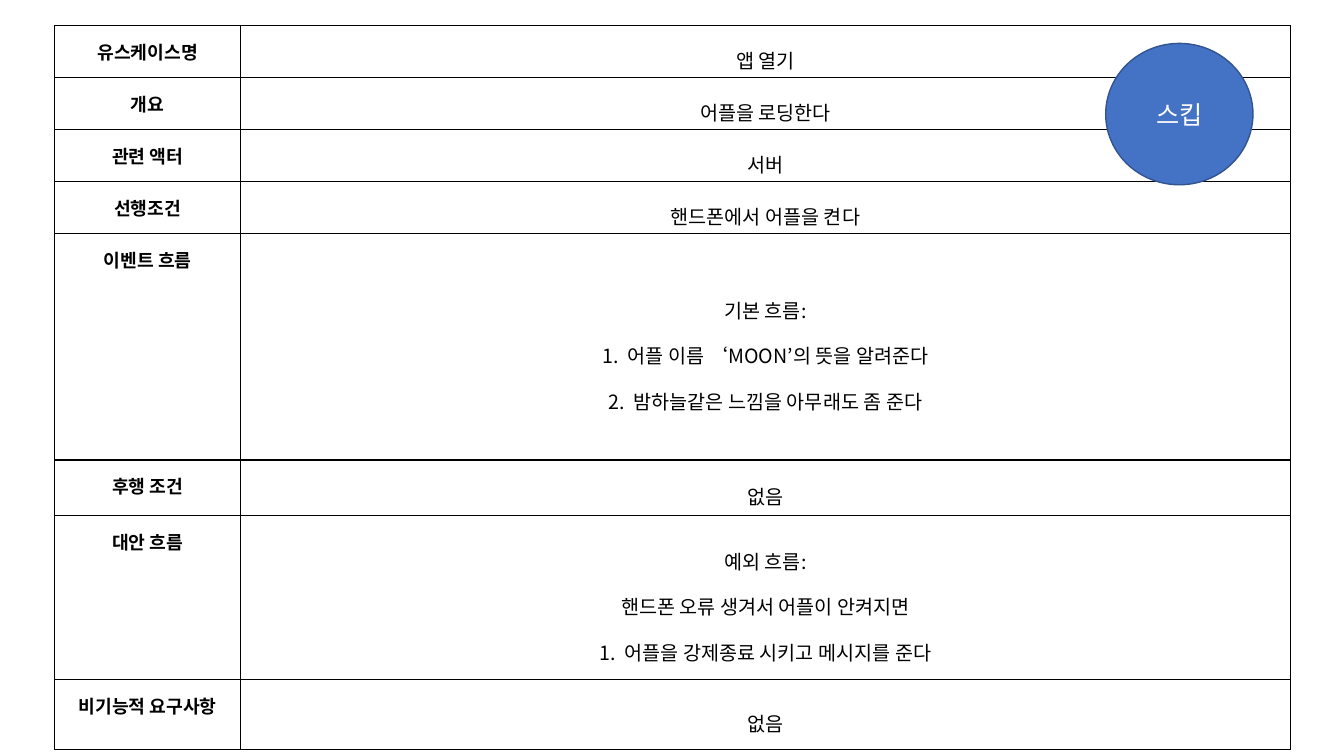
from lxml.etree import SubElement
from pptx import Presentation
from pptx.dml.color import RGBColor
from pptx.enum.shapes import MSO_SHAPE
from pptx.enum.text import MSO_ANCHOR, PP_ALIGN
from pptx.oxml.ns import qn
from pptx.util import Pt

FONT = "Noto Sans CJK KR"
COLORS = {"ink": "000000", "paper": "FFFFFF", "badge": "4472C4", "edge": "325491"}
COLS = [133.2, 749.5]
# Row height, label, then (text, numbered) lines
ROWS = [
    (33.2, "유스케이스명", [("앱 열기", False)]),
    (33.2, "개요", [("어플을 로딩한다", False)]),
    (33.2, "관련 액터", [("서버", False)]),
    (33.2, "선행조건", [("핸드폰에서 어플을 켠다", False)]),
    (162, "이벤트 흐름", [
        ("기본 흐름:", False),
        ("어플 이름 ‘MOON’의 뜻을 알려준다", True),
        ("밤하늘같은 느낌을 아무래도 좀 준다", True),
    ]),
    (39.5, "후행 조건", [("없음", False)]),
    (117.5, "대안 흐름", [
        ("예외 흐름:", False),
        ("핸드폰 오류 생겨서 어플이 안켜지면", False),
        ("어플을 강제종료 시키고 메시지를 준다", True),
    ]),
    (49.8, "비기능적 요구사항", [("없음", False)]),
]


def color(name):
    return RGBColor.from_string(COLORS[name])


def add_run(para, text, size, ink="ink", bold=False):
    para.alignment = PP_ALIGN.CENTER
    run = para.add_run()
    run.text = text
    font = run.font
    font.size, font.bold, font.name = Pt(size), bold, FONT
    font.color.rgb = color(ink)
    SubElement(font._element, qn("a:ea"), typeface=FONT)


def number(para):
    """Give the paragraph a hanging automatic number."""
    props = para._p.get_or_add_pPr()
    props.set("marL", str(Pt(18)))
    props.set("indent", str(-Pt(18)))
    SubElement(props, qn("a:buFont"), typeface="+mj-lt")
    SubElement(props, qn("a:buAutoNum"), type="arabicPeriod")


def style_cell(cell, side, edge, anchor):
    """Set the insets, anchor, borders and fill of a cell."""
    cell.margin_left = cell.margin_right = Pt(side)
    cell.margin_top = cell.margin_bottom = Pt(edge)
    cell.vertical_anchor = anchor
    props = cell._tc.get_or_add_tcPr()
    for tag in ("a:lnL", "a:lnR", "a:lnT", "a:lnB"):
        line = SubElement(props, qn(tag), w=str(Pt(1)))
        fill = SubElement(line, qn("a:solidFill"))
        SubElement(fill, qn("a:srgbClr"), val=COLORS["ink"])
    cell.fill.background()


def fill_label(cell, text):
    style_cell(cell, 9.2, 9.2, MSO_ANCHOR.TOP)
    add_run(cell.text_frame.paragraphs[0], text, 13, bold=True)


def fill_detail(cell, lines):
    style_cell(cell, 5.1, 1.4, MSO_ANCHOR.MIDDLE)
    frame = cell.text_frame
    for index, (text, numbered) in enumerate(lines):
        para = frame.add_paragraph() if index else frame.paragraphs[0]
        para.line_spacing = 1.6
        if numbered:
            number(para)
        add_run(para, text, 14)


def add_case(slide):
    """Add the use case table."""
    height = sum(row[0] for row in ROWS)
    frame = slide.shapes.add_table(
        len(ROWS), len(COLS), Pt(38.9), Pt(18.2), Pt(sum(COLS)), Pt(height))
    table = frame.table
    table.first_row = table.horz_banding = False
    for col, width in zip(table.columns, COLS):
        col.width = Pt(width)
    for row, (height, label, lines) in zip(table.rows, ROWS):
        row.height = Pt(height)
        fill_label(row.cells[0], label)
        fill_detail(row.cells[1], lines)


def add_badge(slide, text, left, top, width, height):
    badge = slide.shapes.add_shape(
        MSO_SHAPE.OVAL, Pt(left), Pt(top), Pt(width), Pt(height))
    badge.shadow.inherit = False
    badge.fill.solid()
    badge.fill.fore_color.rgb = color("badge")
    badge.line.color.rgb = color("edge")
    badge.line.width = Pt(1)
    frame = badge.text_frame
    frame.vertical_anchor = MSO_ANCHOR.MIDDLE
    add_run(frame.paragraphs[0], text, 18, "paper")


def main():
    deck = Presentation()
    deck.slide_width, deck.slide_height = Pt(960), Pt(540)
    slide = deck.slides.add_slide(deck.slide_layouts[6])
    add_case(slide)
    add_badge(slide, "스킵", 789.8, 31, 105.2, 101)
    deck.save("out.pptx")


if __name__ == "__main__":
    main()
